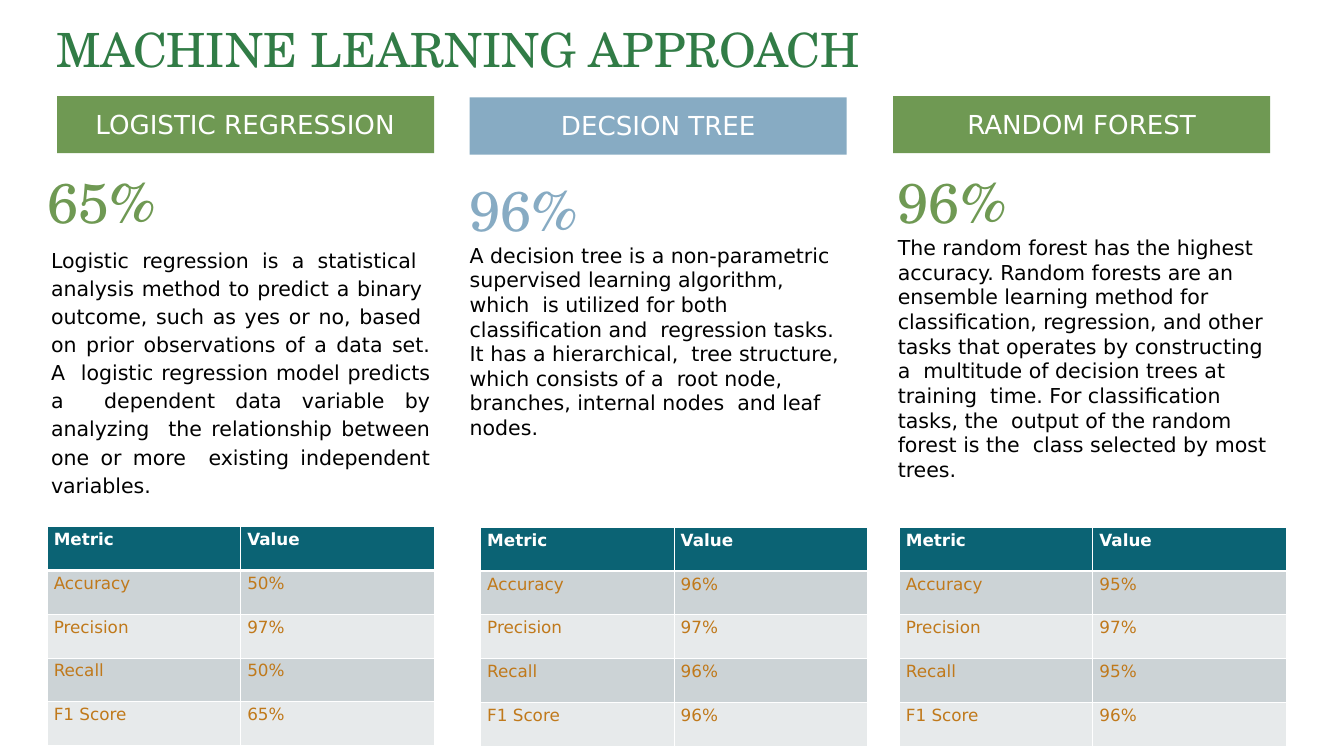
from pptx import Presentation
from pptx.dml.color import RGBColor as RGB
from pptx.enum.shapes import MSO_SHAPE as SHAPE
from pptx.enum.text import MSO_ANCHOR as ANCHOR, PP_ALIGN as ALIGN
from pptx.oxml import parse_xml
from pptx.oxml.ns import nsdecls
from pptx.util import Inches, Pt

HEX = {"title": "317C46", "green": "6F9953", "blue": "87ABC3", "white": "FFFFFF",
       "black": "000000", "head": "0B6374", "dark": "CCD3D6", "light": "E7EAEB",
       "amber": "C0791B"}
SANS, SERIF = "DejaVu Sans", "TeX Gyre Schola"


def style(run, size, face, color, bold=False):
    font = run.font
    font.size, font.name, font.bold = Pt(size), face, bold
    font.color.rgb = RGB.from_string(HEX[color])


def add_text(box, text, looks, top=0.01, align=ALIGN.LEFT):
    """Fill a box with one paragraph; looks holds one style per run."""
    frame = box.text_frame
    frame.word_wrap = True
    frame.vertical_anchor = ANCHOR.TOP
    frame.margin_left = frame.margin_right = frame.margin_bottom = 0
    frame.margin_top = Inches(top)
    para = frame.paragraphs[0]
    para.text = text
    para.alignment = align
    for run, look in zip(para.runs, looks):
        style(run, *look)
    return para


prs = Presentation()
prs.slide_width, prs.slide_height = Inches(20), Inches(11.25)
slide = prs.slides.add_slide(prs.slide_layouts[6])
shapes = slide.shapes

# Title
box = shapes.add_textbox(Inches(0.84), Inches(0.28), Inches(12.3), Inches(0.87))
add_text(box, "MACHINE LEARNING APPROACH", [(50.5, SERIF, "title")], 0.02)

# Banners: name, colour, left, top, alignment
banners = [("LOGISTIC REGRESSION", "green", 0.85, 1.43, ALIGN.LEFT),
           ("DECSION TREE", "blue", 6.99, 1.45, ALIGN.CENTER),
           ("RANDOM FOREST", "green", 13.29, 1.43, ALIGN.CENTER)]
for name, color, x, y, align in banners:
    bar = shapes.add_shape(SHAPE.RECTANGLE, Inches(x), Inches(y), Inches(5.61), Inches(0.85))
    bar.shadow.inherit = False
    bar.fill.solid()
    bar.fill.fore_color.rgb = RGB.from_string(HEX[color])
    bar.line.fill.background()
    para = add_text(bar, name, [(28, SANS, "white")], 0.18, align)
    if align == ALIGN.LEFT:
        para._p.get_or_add_pPr().set("marL", str(Inches(0.57)))

# Scores and descriptions: text, place, run styles, alignment, line spacing
body = (22, SANS, "black")
green, blue = (60, SERIF, "green"), (60, SERIF, "blue")
notes = [
    ("65%", (0.7, 2.49, 2.53, 1.03), [green], ALIGN.LEFT, None),
    ("Logistic regression is a statistical  analysis method to predict a binary  "
     "outcome, such as yes or no, based  on prior observations of a data set. A  "
     "logistic regression model predicts a  dependent data variable by analyzing  "
     "the relationship between one or more  existing independent variables.",
     (0.76, 3.63, 5.64, 3.36), [body], ALIGN.JUSTIFY, 1.14),
    ("96%\vA decision tree is a non-parametric  supervised learning algorithm, "
     "which  is utilized for both classification and  regression tasks. It has a "
     "hierarchical,  tree structure, which consists of a  root node, branches, "
     "internal nodes  and leaf nodes.",
     (6.99, 2.6, 5.56, 3.99), [blue, body], ALIGN.LEFT, None),
    ("96%\vThe random forest has the highest  accuracy. Random forests are an  "
     "ensemble learning method for  classification, regression, and other  tasks "
     "that operates by constructing a  multitude of decision trees at training  "
     "time. For classification tasks, the  output of the random forest is the  "
     "class selected by most trees.",
     (13.36, 2.49, 5.54, 4.73), [green, body], ALIGN.LEFT, None),
]
for text, place, looks, align, gap in notes:
    box = shapes.add_textbox(*map(Inches, place))
    para = add_text(box, text, looks, align=align)
    if gap:
        para.line_spacing = gap

# Metric tables: left, top, values
metrics = ["Metric", "Accuracy", "Precision", "Recall", "F1 Score"]
tables = [(0.7, 7.84, ["50%", "97%", "50%", "65%"]),
          (7.15, 7.85, ["96%", "97%", "96%", "96%"]),
          (13.38, 7.85, ["95%", "97%", "95%", "96%"])]
for x, y, values in tables:
    table = shapes.add_table(5, 2, Inches(x), Inches(y), Inches(5.76), Inches(3.25)).table
    for r, pair in enumerate(zip(metrics, ["Value"] + values)):
        table.rows[r].height = Inches(0.65)
        head = r == 0
        fill = "head" if head else "dark" if r % 2 else "light"
        for c, text in enumerate(pair):
            cell = table.cell(r, c)
            cell.text = text
            style(cell.text_frame.paragraphs[0].runs[0], 18, SANS,
                  "white" if head else "amber", head)
            cell.fill.solid()
            cell.fill.fore_color.rgb = RGB.from_string(HEX[fill])
            # White borders, thick below the header
            props = cell._tc.get_or_add_tcPr()
            for i, side in enumerate("LRTB"):
                thick = (r, side) in [(0, "B"), (1, "T")]
                props.insert(i, parse_xml(
                    f'<a:ln{side} {nsdecls("a")} w="{Pt(3 if thick else 1)}"><a:solidFill>'
                    f'<a:srgbClr val="{HEX["white"]}"/></a:solidFill></a:ln{side}>'))

prs.save("out.pptx")
